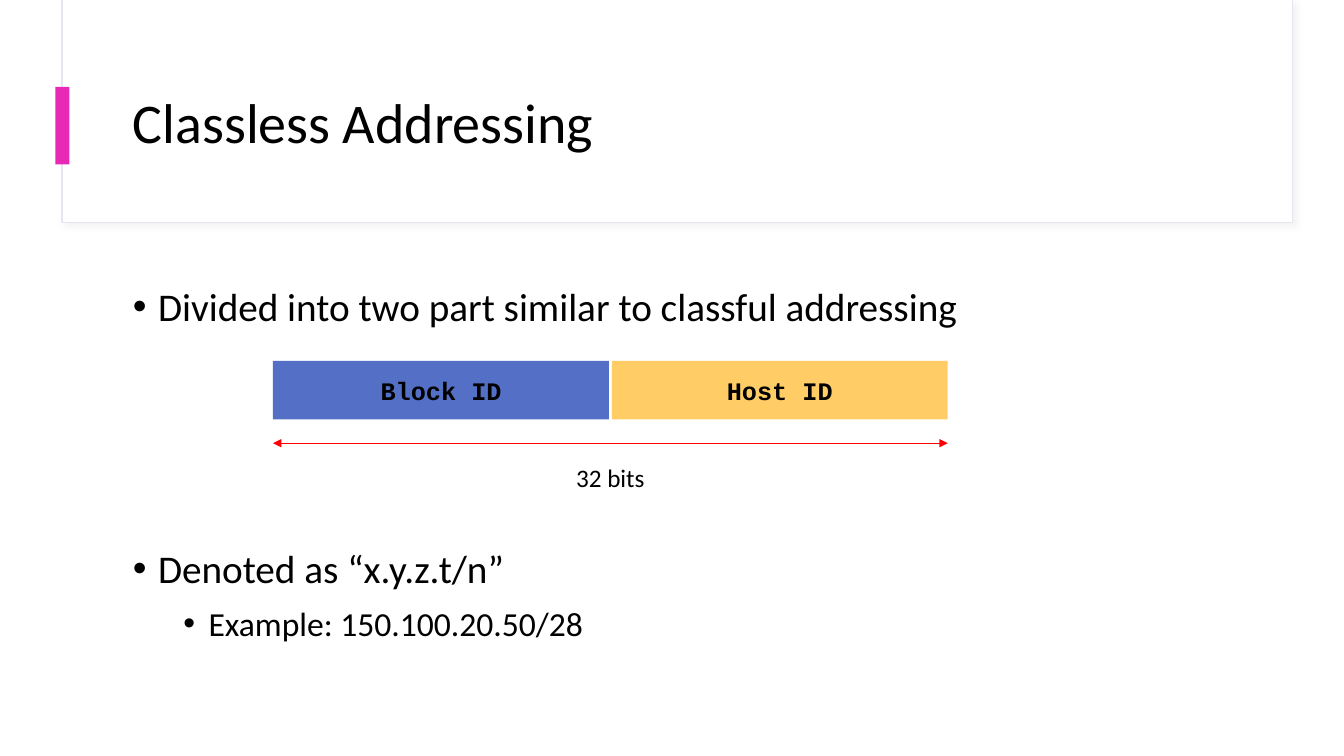
import pptx
import pptx.util
import pptx.dml.color
import pptx.enum.shapes
import pptx.enum.text
import pptx.oxml
from pptx.oxml.ns import nsdecls, qn

Pt = pptx.util.Pt
Anchor = pptx.enum.text.MSO_ANCHOR
Align = pptx.enum.text.PP_ALIGN

# Content
TITLE = "Classless Addressing"
# text, level, space before
BULLETS = [
    ("Divided into two part similar to classful addressing", 0, 0),
    ("Denoted as “x.y.z.t/n”", 0, 150),
    ("Example: 150.100.20.50/28", 1, 5),
]
FIELDS = [("Block ID", "block"), ("Host ID", "host")]
WIDTH_LABEL = "32 bits"

THEME = {
    "font": "Calibri", "code_font": "Courier New",
    "title": 40, "levels": [28, 24], "label": 18,
    "text": "000000", "panel": "FFFFFF", "border": "E5E6F0", "shadow": "D9D9D9",
    "accent": "E729B5", "block": "546FC6", "host": "FFCC66", "arrow": "FF0000",
}

# Layout
SLIDE_WIDTH, SLIDE_HEIGHT = 960, 540
MARGIN, TEXT_WIDTH = 87.84, 800.64
FIELD_LEFT, FIELD_TOP, FIELD_WIDTH, FIELD_HEIGHT, FIELD_GAP = 195, 257.8, 240, 41.8, 2
FIELDS_WIDTH = len(FIELDS) * (FIELD_WIDTH + FIELD_GAP) - FIELD_GAP
ARROW_TOP = 316.6
LABEL_TOP, LABEL_WIDTH, LABEL_HEIGHT = 326.9, 64.8, 29


def color(name):
    return pptx.dml.color.RGBColor.from_string(THEME[name])


def points(*lengths):
    return [Pt(length) for length in lengths]


def add_run(paragraph, text, size, font="font", bold=False):
    run = paragraph.add_run()
    run.text = text
    run.font.name = THEME[font]
    run.font.size = Pt(size)
    run.font.bold = bold
    run.font.color.rgb = color("text")


def add_rectangle(slide, box, fill):
    shape = slide.shapes.add_shape(pptx.enum.shapes.MSO_SHAPE.RECTANGLE, *points(*box))
    shape.shadow.inherit = False
    shape.fill.solid()
    shape.fill.fore_color.rgb = color(fill)
    shape.line.fill.background()
    return shape


def add_text_frame(slide, box, wrap=True):
    frame = slide.shapes.add_textbox(*points(*box)).text_frame
    frame.word_wrap = wrap
    return frame


def add_bullet(paragraph, level):
    properties = paragraph._p.get_or_add_pPr()
    properties.set("marL", str(Pt(18 + 36 * level)))
    properties.set("indent", str(Pt(-18)))
    for tag, attribute, value in [("buFont", "typeface", "Arial"), ("buChar", "char", "•")]:
        properties.append(pptx.oxml.parse_xml(
            f'<a:{tag} {nsdecls("a")} {attribute}="{value}"/>'))


def add_header(slide):
    # Panel with a soft shadow, and the accent bar
    panel = add_rectangle(slide, (44.3, 0, 878.8, 158.8), "panel")
    panel.line.color.rgb = color("border")
    panel.line.width = Pt(0.75)
    panel._element.spPr.find(qn("a:effectLst")).append(pptx.oxml.parse_xml(
        f'<a:outerShdw {nsdecls("a")} blurRad="{Pt(4)}" dist="{Pt(3)}" dir="2700000">'
        f'<a:srgbClr val="{THEME["shadow"]}"><a:alpha val="30000"/></a:srgbClr>'
        '</a:outerShdw>'))
    add_rectangle(slide, (39.6, 62, 10, 55.4), "accent")

    # Title
    frame = add_text_frame(slide, (MARGIN, 43.2, TEXT_WIDTH, 92.9))
    frame.vertical_anchor = Anchor.MIDDLE
    frame.paragraphs[0].line_spacing = 0.9
    add_run(frame.paragraphs[0], TITLE, THEME["title"])


def add_body(slide):
    frame = add_text_frame(slide, (MARGIN, 195.1, TEXT_WIDTH, 290.9))
    for index, (text, level, space) in enumerate(BULLETS):
        paragraph = frame.add_paragraph() if index else frame.paragraphs[0]
        add_bullet(paragraph, level)
        paragraph.level = level
        paragraph.line_spacing = 1.1
        paragraph.space_before = Pt(space)
        add_run(paragraph, text, THEME["levels"][level])


def add_address_diagram(slide):
    # Address fields side by side
    for index, (text, fill) in enumerate(FIELDS):
        left = FIELD_LEFT + index * (FIELD_WIDTH + FIELD_GAP)
        shape = add_rectangle(slide, (left, FIELD_TOP, FIELD_WIDTH, FIELD_HEIGHT), fill)
        frame = shape.text_frame
        frame.word_wrap = False
        frame.vertical_anchor = Anchor.MIDDLE
        frame.paragraphs[0].alignment = Align.CENTER
        add_run(frame.paragraphs[0], text, THEME["label"], "code_font", True)

    # Total width: label and double arrow
    label_left = FIELD_LEFT + (FIELDS_WIDTH - LABEL_WIDTH) / 2
    frame = add_text_frame(slide, (label_left, LABEL_TOP, LABEL_WIDTH, LABEL_HEIGHT), False)
    frame.paragraphs[0].alignment = Align.CENTER
    add_run(frame.paragraphs[0], WIDTH_LABEL, THEME["label"])

    arrow = slide.shapes.add_connector(
        pptx.enum.shapes.MSO_CONNECTOR.STRAIGHT,
        *points(FIELD_LEFT, ARROW_TOP, FIELD_LEFT + FIELDS_WIDTH, ARROW_TOP))
    arrow.line.color.rgb = color("arrow")
    arrow.line.width = Pt(0.5)
    line = arrow.line._get_or_add_ln()
    for end in ("headEnd", "tailEnd"):
        line.append(pptx.oxml.parse_xml(f'<a:{end} {nsdecls("a")} type="triangle"/>'))
    arrow._element.spPr.append(pptx.oxml.parse_xml(f'<a:effectLst {nsdecls("a")}/>'))


def main():
    presentation = pptx.Presentation()
    presentation.slide_width, presentation.slide_height = points(SLIDE_WIDTH, SLIDE_HEIGHT)
    slide = presentation.slides.add_slide(presentation.slide_layouts[6])
    add_header(slide)
    add_body(slide)
    add_address_diagram(slide)
    presentation.save("out.pptx")


if __name__ == "__main__":
    main()
